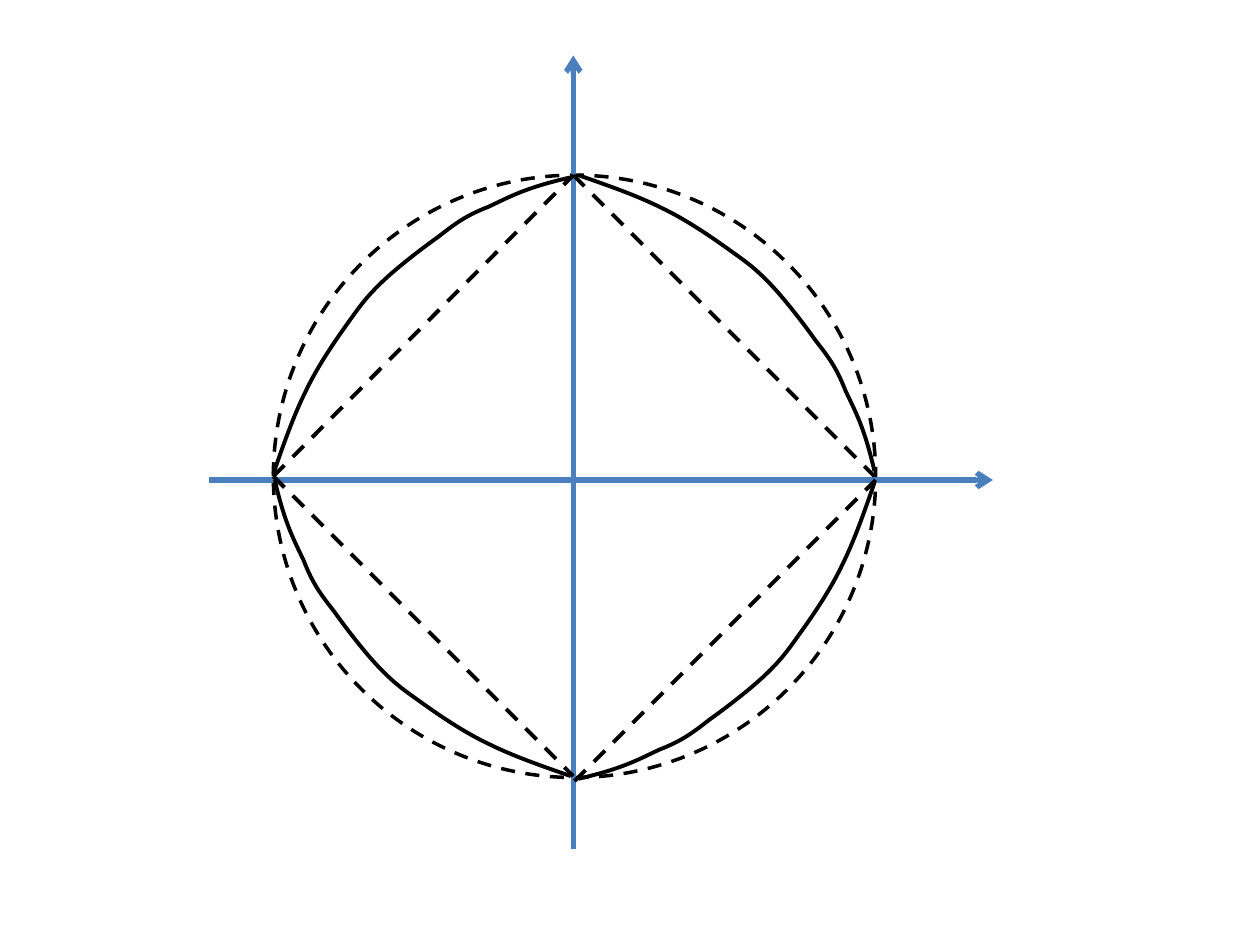
import dataclasses

import lxml.etree
import pptx
import pptx.dml.color
import pptx.enum.dml
import pptx.enum.shapes
import pptx.oxml
import pptx.oxml.ns
import pptx.util

Pt = pptx.util.Pt
qn = pptx.oxml.ns.qn


@dataclasses.dataclass(frozen=True)
class Theme:
    ink: str = "000000"
    axis: str = "4B7EBC"
    thin: float = 2
    medium: float = 2.25
    thick: float = 3


class Diagram:
    """Draw the axes, circle, chords and arcs of one slide in a shared theme."""

    def __init__(self, slide, theme):
        self.shapes = slide.shapes
        dash = pptx.enum.dml.MSO_LINE.DASH
        self.formats = {
            "circle": (theme.ink, {"width": Pt(theme.thin), "dash_style": dash}),
            "axis": (theme.axis, {"width": Pt(theme.thick)}),
            "chord": (theme.ink, {"width": Pt(theme.medium), "dash_style": dash}),
            "arc": (theme.ink, {"width": Pt(theme.medium)}),
        }

    def stroke(self, sp, name):
        color, values = self.formats[name]
        sp.line.color.rgb = pptx.dml.color.RGBColor.from_string(color)
        for key, value in values.items():
            setattr(sp.line, key, value)

    def outline(self, sp, name):
        sp.shadow.inherit = False
        sp.fill.background()
        self.stroke(sp, name)

    def circle(self, left, top, size):
        kind = pptx.enum.shapes.MSO_SHAPE.OVAL
        sp = self.shapes.add_shape(kind, Pt(left), Pt(top), Pt(size), Pt(size))
        self.outline(sp, "circle")

    def line(self, start, end, name, arrow=False):
        kind = pptx.enum.shapes.MSO_CONNECTOR.STRAIGHT
        sp = self.shapes.add_connector(kind, *map(Pt, start + end))
        self.stroke(sp, name)
        if arrow:
            ln = sp.line._get_or_add_ln()
            lxml.etree.SubElement(ln, qn("a:tailEnd"), type="arrow")
        lxml.etree.SubElement(sp._element.spPr, qn("a:effectLst"))

    def arc(self, left, top, rotation, points):
        pts = [(Pt(x), Pt(y)) for x, y in points]
        builder = self.shapes.build_freeform(*pts[0])
        builder.add_line_segments(pts[1:], close=False)
        sp = builder.convert_to_shape(Pt(left), Pt(top))
        segments = list(sp._element.iter(qn("a:lnTo")))
        outline = segments[0].getparent()
        for i in range(0, len(segments), 3):
            curve = lxml.etree.SubElement(outline, qn("a:cubicBezTo"))
            for segment in segments[i:i + 3]:
                curve.append(segment[0])
                outline.remove(segment)
        sp.rotation = rotation
        self.outline(sp, "arc")


ARC_POINTS = [
    (0, 169.2),
    (5.8, 152.6), (11.5, 136.1), (18.7, 121.7),
    (25.2, 108), (34.6, 94.3), (41.8, 84.2),
    (49, 74.2), (51.8, 69.8), (60.5, 61.2),
    (69.1, 52.6), (84.2, 41), (94.3, 33.8),
    (104.4, 25.9), (110.2, 21.6), (123.1, 16.6),
    (135.4, 10.8), (144, 5.8), (169.2, 0),
]
ARC_ORIGINS = [(156.2, 101.5), (330.5, 100.1), (330.5, 275.8), (157, 274.3)]


def main():
    prs = pptx.Presentation()
    prs.slide_width, prs.slide_height = Pt(720), Pt(540)
    d = Diagram(prs.slides.add_slide(prs.slide_layouts[6]), Theme())

    d.circle(156.2, 100.1, 344.2)
    d.line((327.6, 485.3), (327.6, 31.7), "axis", arrow=True)
    d.line((119.5, 274.3), (567.4, 274.3), "axis", arrow=True)

    top, left = (327.6, 100.1), (156.2, 272.2)
    d.line((328.3, 446.4), (500.4, 274.3), "chord")
    d.line(left, top, "chord")
    d.line(top, (499.7, 272.2), "chord")
    d.line(left, (327.6, 443.5), "chord")

    for quarter, (x, y) in enumerate(ARC_ORIGINS):
        d.arc(x, y, 90 * quarter, ARC_POINTS)

    prs.save("out.pptx")


if __name__ == "__main__":
    main()
